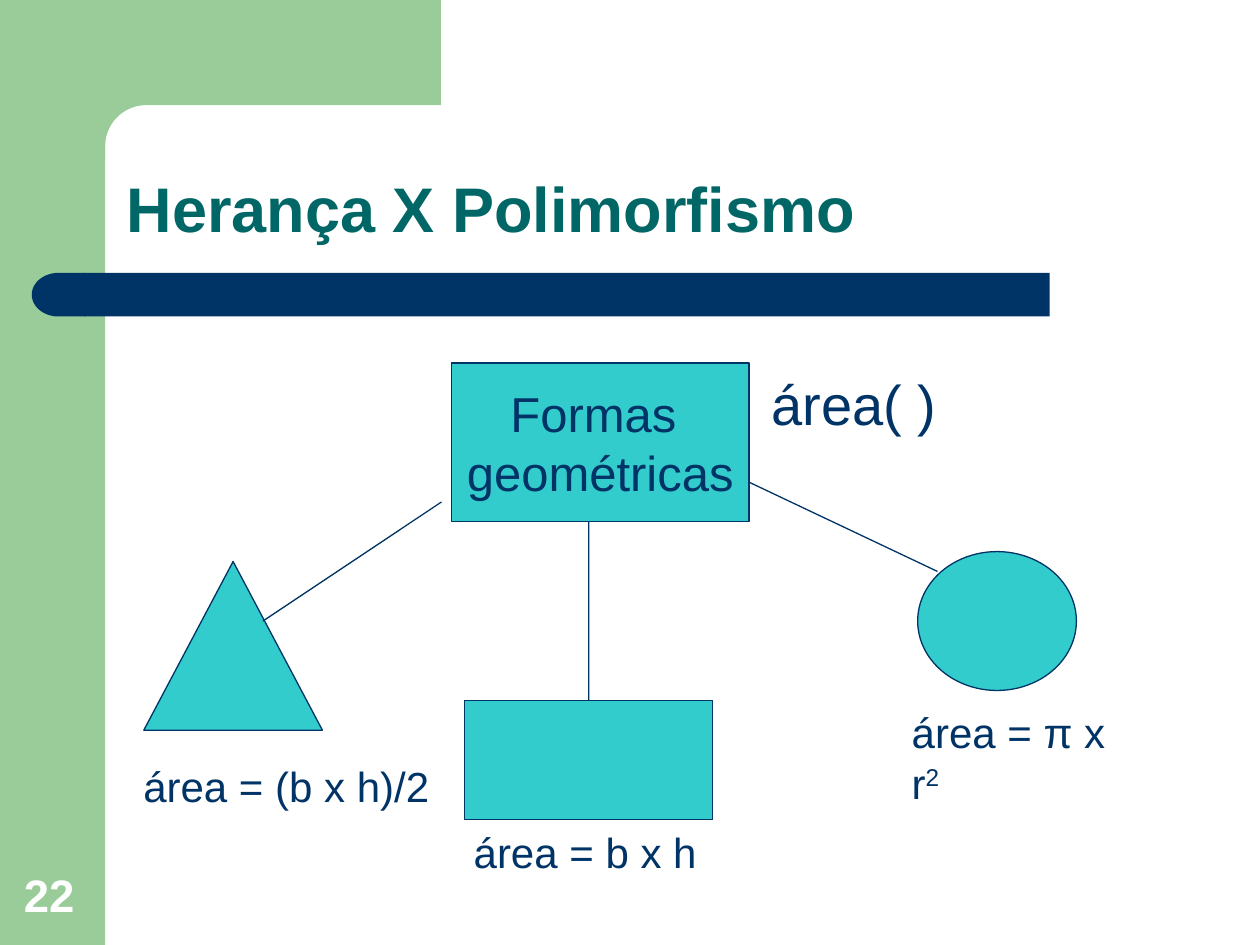
"""Build the slide on inheritance and polymorphism."""
from math import cos, radians, sin

from lxml import etree
from pptx import Presentation
from pptx.dml.color import RGBColor
from pptx.enum.shapes import MSO_CONNECTOR, MSO_SHAPE
from pptx.enum.text import MSO_ANCHOR, MSO_AUTO_SIZE, PP_ALIGN
from pptx.oxml.ns import qn
from pptx.util import Cm, Pt

RECT = MSO_SHAPE.RECTANGLE
DELAY = MSO_SHAPE.FLOWCHART_DELAY
TRIANGLE = MSO_SHAPE.ISOSCELES_TRIANGLE
OVAL = MSO_SHAPE.OVAL
STRAIGHT = MSO_CONNECTOR.STRAIGHT
TOP, MIDDLE, BOTTOM = MSO_ANCHOR.TOP, MSO_ANCHOR.MIDDLE, MSO_ANCHOR.BOTTOM
LEFT, CENTER = PP_ALIGN.LEFT, PP_ALIGN.CENTER
GREEN, NAVY, TEAL, CYAN, WHITE = "99CC99", "003366", "006666", "33CCCC", "FFFFFF"


def color(code):
    """Turn a hex string into a colour."""
    return RGBColor.from_string(code)


def paint(shape, fill, line=None):
    """Set the fill and outline of a shape and drop its shadow."""
    shape.shadow.inherit = False
    shape.fill.solid()
    shape.fill.fore_color.rgb = color(fill)
    if line:
        shape.line.color.rgb = color(line)
        shape.line.width = Pt(0.75)
    else:
        shape.line.fill.background()
    return shape


def add_form(slide, kind, box, fill, line=None):
    """Add a preset shape at a box given in centimetres."""
    shape = slide.shapes.add_shape(kind, *map(Cm, box))
    return paint(shape, fill, line)


def add_corner(slide):
    """Add the top block with its rounded inner corner."""
    edge, radius = 2.12, 0.83
    mid = edge + radius
    arc = [(mid + radius * cos(radians(a)), mid + radius * sin(radians(a)))
           for a in range(270, 179, -5)]
    points = [(8.89, 0), (8.89, edge), *arc, (edge, 3.25), (1.27, 3.25)]
    pen = slide.shapes.build_freeform(Cm(1.27), Cm(0))
    pen.add_line_segments([(Cm(x), Cm(y)) for x, y in points])
    paint(pen.convert_to_shape(), GREEN)


def write(shape, lines, size, code=NAVY, bold=False, align=LEFT, anchor=TOP):
    """Fill a shape with paragraphs in one style."""
    frame = shape.text_frame
    frame.text = "\n".join(lines)
    frame.vertical_anchor = anchor
    for para in frame.paragraphs:
        para.alignment = align
        font = para.font
        font.name, font.size, font.bold = "Arial", Pt(size), bold
        font.color.rgb = color(code)
    return frame


def add_text(slide, box, text, size, **style):
    """Add a wrapping text box."""
    shape = slide.shapes.add_textbox(*map(Cm, box))
    frame = write(shape, [text], size, **style)
    frame.word_wrap = True
    return frame


def add_label(slide, box, text, size=24):
    """Add a text box that grows with its one line."""
    frame = add_text(slide, box, text, size)
    frame.word_wrap = False
    frame.auto_size = MSO_AUTO_SIZE.SHAPE_TO_FIT_TEXT
    return frame


def add_link(slide, start, end):
    """Add a thin straight line."""
    link = slide.shapes.add_connector(STRAIGHT, *map(Cm, start + end))
    link.line.color.rgb = color(NAVY)
    link.line.width = Pt(0.75)
    etree.SubElement(link._element.spPr, qn("a:effectLst"))
    return link


def add_frame(slide):
    """Add the green border and the navy bar."""
    add_form(slide, RECT, (0, 0, 2.12, 19.05), GREEN)
    add_corner(slide)
    add_form(slide, RECT, (1.69, 5.5, 19.47, 0.88), NAVY)
    add_form(slide, DELAY, (0.64, 5.5, 1.08, 0.88), NAVY).rotation = 180


def add_tree(slide):
    """Add the base class, its three forms and their area rules."""
    base = add_form(slide, RECT, (9.1, 7.32, 6, 3.2), CYAN, NAVY)
    frame = write(base, ["Formas ", "geométricas"], 28, align=CENTER, anchor=MIDDLE)
    frame.word_wrap = False
    add_form(slide, TRIANGLE, (2.9, 11.32, 3.6, 3.4), CYAN, NAVY)
    block = add_form(slide, RECT, (9.37, 14.12, 5, 2.4), CYAN, NAVY)
    add_form(slide, OVAL, (18.5, 11.12, 3.2, 2.8), CYAN, NAVY)

    add_link(slide, (8.9, 10.12), (5.3, 12.52))
    add_link(slide, (11.87, 10.52), (11.87, 14.12)).end_connect(block, 0)
    add_link(slide, (15.1, 9.72), (18.9, 11.52))

    add_label(slide, (15.3, 7.32, 3.84, 1.63), "área( )", 32)
    add_label(slide, (2.64, 15.2, 6.27, 1.27), "área = (b x h)/2")
    add_label(slide, (9.3, 16.54, 5, 1.27), "área = b x h")
    circle = add_label(slide, (18.13, 14.12, 5.18, 1.27), "área = π x r")
    power = circle.paragraphs[0].add_run()
    power.text = "2"
    power.font._element.set("baseline", "30000")


def main():
    """Build and save the slide."""
    deck = Presentation()
    deck.slide_width, deck.slide_height = Cm(25.4), Cm(19.05)
    slide = deck.slides.add_slide(deck.slide_layouts[6])
    add_frame(slide)
    add_text(slide, (0.23, 17.35, 1.63, 1.35), "22", 26,
             code=WHITE, bold=True, anchor=BOTTOM)
    title = add_text(slide, (2.31, 2.31, 21.62, 2.77), "Herança X Polimorfismo", 36,
                     code=TEAL, bold=True, anchor=BOTTOM)
    title.paragraphs[0].line_spacing = 0.9
    add_tree(slide)
    deck.save("out.pptx")


if __name__ == "__main__":
    main()
